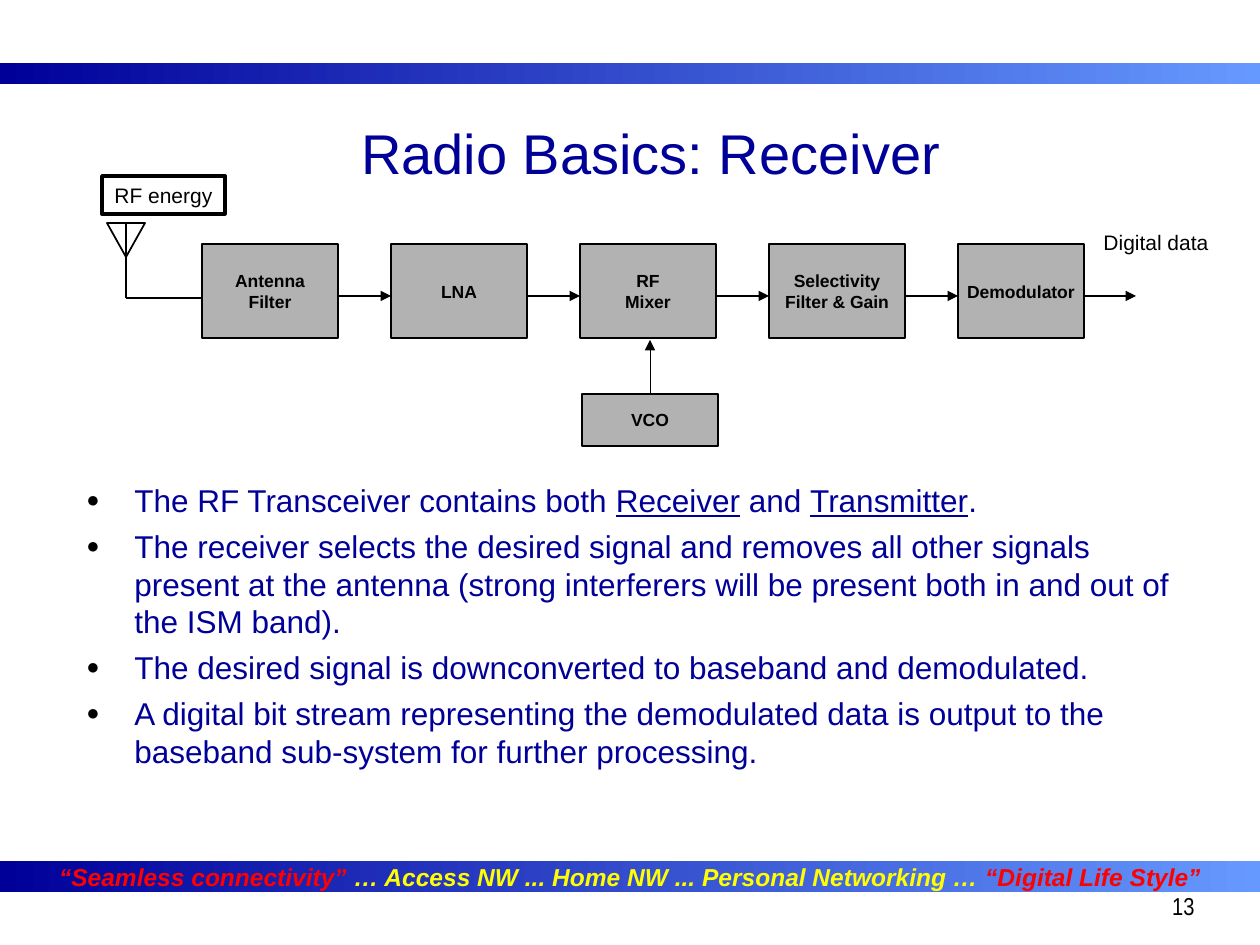
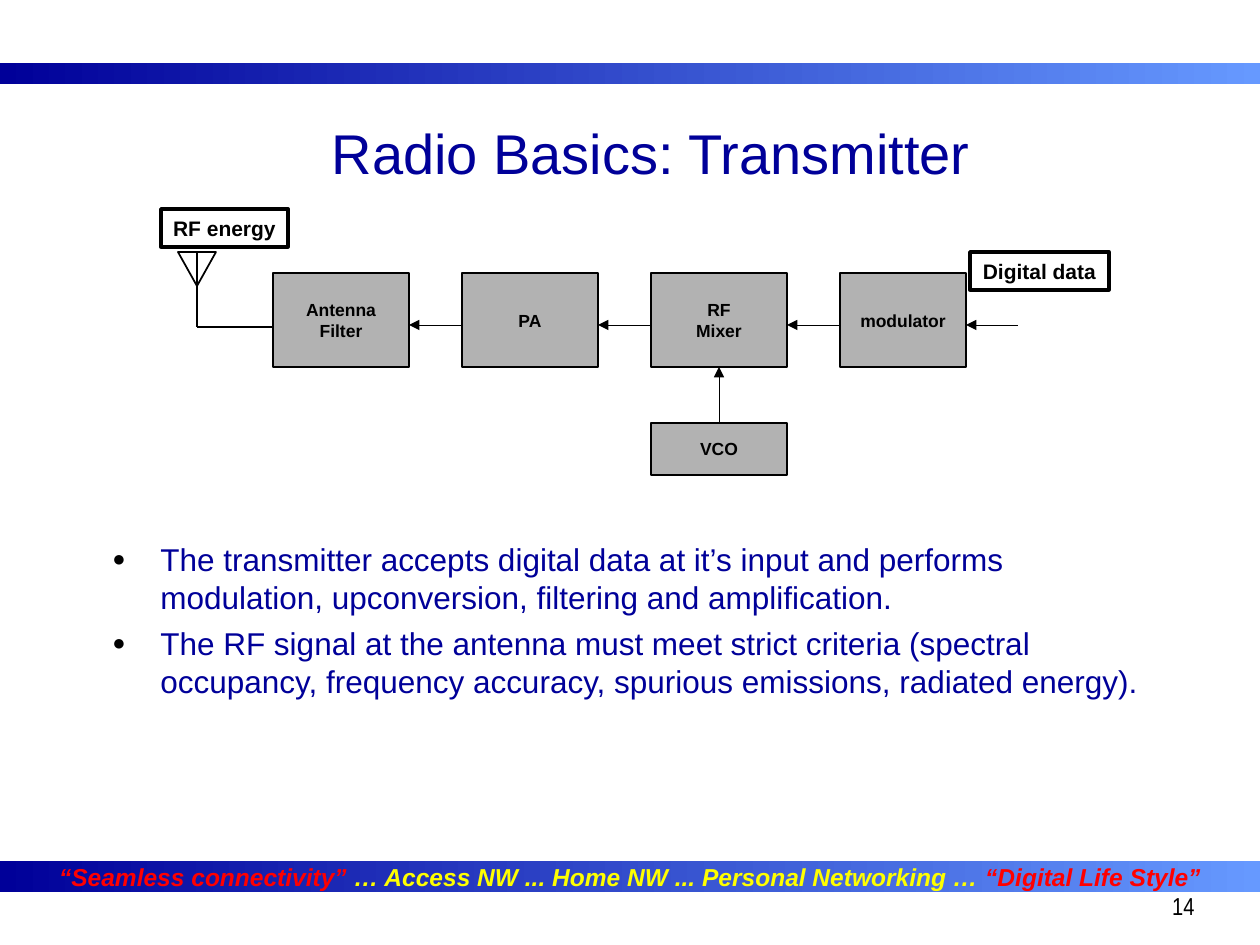
"""Build two slides on the radio receiver and transmitter chains."""
from lxml.etree import SubElement
from pptx import Presentation
from pptx.dml.color import RGBColor
from pptx.enum.shapes import MSO_CONNECTOR, MSO_SHAPE
from pptx.enum.text import MSO_ANCHOR, PP_ALIGN
from pptx.oxml.ns import qn
from pptx.util import Pt

PX = 914400 / 126
NAVY, SKY, GRAY = "000099", "6699FF", "B2B2B2"
BLACK, RED, GOLD = "000000", "FF0000", "FFFF00"
WIDE, HIGH = 1260, 945
BANDS = [(0, 63, WIDE, 21), (0, 861, WIDE, 31)]
MOTTO = [
    ("“Seamless connectivity”", {"hue": RED}),
    (" … Access NW ... Home NW ... Personal Networking … ", {"hue": GOLD}),
    ("“Digital Life Style”", {"hue": RED}),
]
TITLE_AT = (84, 116, 1134, 73)
PAGE_AT = (945, 882, 262, 63)
BOX_W, LAST_W, BOX_H, PITCH = 136, 126, 94, 189
FLOW_Y, OUT_LEN = 52, 52
VCO_Y, VCO_H = 150, 52
MIXER = 2
LINE = {"under": True}

SLIDES = [
    {
        "title": "Radio Basics: Receiver",
        "page": "13",
        "start": (202, 244),
        "steps": [["Antenna", "Filter"], ["LNA"], ["RF", "Mixer"],
                  ["Selectivity", "Filter & Gain"], ["Demodulator"]],
        "inward": False,
        "flow_pt": 1,
        "vco_dx": 2,
        "labels": [("Digital data", (1091, 223, 130, 38), 0, False),
                   ("RF energy", (102, 176, 123, 38), 2, False)],
        "body_at": (74, 475, 1133, 341),
        "points": [
            [("The RF Transceiver contains both ", {}), ("Receiver", LINE),
             (" and ", {}), ("Transmitter", LINE), (".", {})],
            [("The receiver selects the desired signal and removes all other "
              "signals present at the antenna (strong interferers will be "
              "present both in and out of the ISM band).", {})],
            [("The desired signal is downconverted to baseband and "
              "demodulated.", {})],
            [("A digital bit stream representing the demodulated data is "
              "output to the baseband sub-system for further processing.", {})],
        ],
    },
    {
        "title": "Radio Basics: Transmitter",
        "page": "14",
        "start": (273, 273),
        "steps": [["Antenna", "Filter"], ["PA"], ["RF", "Mixer"], ["modulator"]],
        "inward": True,
        "flow_pt": 0.5,
        "vco_dx": 0,
        "labels": [("Digital data", (970, 252, 139, 38), 2, True),
                   ("RF energy", (161, 209, 127, 38), 2, True)],
        "body_at": (100, 534, 1081, 272),
        "points": [
            [("The transmitter accepts digital data at it’s input and performs "
              "modulation, upconversion, filtering and amplification.", {})],
            [("The RF signal at the antenna must meet strict criteria "
              "(spectral occupancy, frequency accuracy, spurious emissions, "
              "radiated energy).", {})],
        ],
    },
]


def emu(*vals):
    """Turn px into EMU."""
    return [round(v * PX) for v in vals]


def color(code):
    """Turn a hex string into a colour."""
    return RGBColor.from_string(code)


def add_run(para, text, size, hue=BLACK, bold=False, slant=False,
            under=False, face="Arial"):
    """Add one styled run."""
    run = para.add_run()
    run.text = text
    font = run.font
    font.name, font.size, font.bold = face, Pt(size), bold
    font.italic, font.underline = slant, under
    font.color.rgb = color(hue)


def add_lines(shape, rows, align=PP_ALIGN.CENTER, wrap=False,
              anchor=MSO_ANCHOR.MIDDLE, **style):
    """Fill a shape with paragraphs, each a list of (text, style) runs."""
    frame = shape.text_frame
    frame.word_wrap, frame.vertical_anchor = wrap, anchor
    for i, row in enumerate(rows):
        para = frame.add_paragraph() if i else frame.paragraphs[0]
        para.alignment = align
        for text, extra in row:
            add_run(para, text, **{**style, **extra})
    return frame.paragraphs


def add_box(slide, at, fill=None, line=0, kind=MSO_SHAPE.RECTANGLE):
    """Add a flat shape with an optional fill and outline."""
    box = slide.shapes.add_shape(kind, *emu(*at))
    box.shadow.inherit = False
    if fill:
        box.fill.solid()
        box.fill.fore_color.rgb = color(fill)
    else:
        box.fill.background()
    if line:
        box.line.color.rgb = color(BLACK)
        box.line.width = Pt(line)
    else:
        box.line.fill.background()
    return box


def add_line(slide, x1, y1, x2, y2, width=1, tip=None):
    """Add a straight line, with a tip at headEnd or tailEnd."""
    wire = slide.shapes.add_connector(MSO_CONNECTOR.STRAIGHT,
                                      *emu(x1, y1, x2, y2))
    wire.line.color.rgb = color(BLACK)
    wire.line.width = Pt(width)
    if tip:
        SubElement(wire.line._get_or_add_ln(), qn("a:" + tip), type="triangle")
    SubElement(wire._element.spPr, qn("a:effectLst"))
    return wire


def add_frame(slide, title, page):
    """Add the bands, motto, title and page number."""
    for at in BANDS:
        band = add_box(slide, at)
        band.fill.gradient()
        band.fill.gradient_angle = 180
        for stop, hue in zip(band.fill.gradient_stops, (SKY, NAVY)):
            stop.color.rgb = color(hue)
    add_lines(band, [MOTTO], size=14, bold=True, slant=True)
    head = slide.shapes.add_textbox(*emu(*TITLE_AT))
    add_lines(head, [[(title, {})]], wrap=True, size=32, hue=NAVY)
    foot = slide.shapes.add_textbox(*emu(*PAGE_AT))
    paras = add_lines(foot, [[(page, {})]], PP_ALIGN.RIGHT, True,
                      MSO_ANCHOR.TOP, size=14, face="Arial Narrow")
    paras[0].line_spacing = 1.1


def add_points(slide, at, points):
    """Add the bulleted text."""
    body = slide.shapes.add_textbox(*emu(*at))
    paras = add_lines(body, points, PP_ALIGN.LEFT, True, MSO_ANCHOR.TOP,
                      size=18, hue=NAVY)
    dent = emu(48)[0]
    for i, para in enumerate(paras):
        if i:
            para.space_before = Pt(4.5)
        props = para._p.get_or_add_pPr()
        props.set("marL", str(dent))
        props.set("indent", str(-dent))
        tint = SubElement(props, qn("a:buClr"))
        SubElement(tint, qn("a:srgbClr"), val=BLACK)
        SubElement(props, qn("a:buSzPct"), val="70000")
        SubElement(props, qn("a:buFont"), typeface="Arial")
        SubElement(props, qn("a:buChar"), char="●")


def add_mast(slide, x, y):
    """Add the antenna left of the first block."""
    mast, top, foot = x - 76, y - 21, y + 54
    add_line(slide, x, foot, mast, foot)
    add_line(slide, mast, foot, mast, top)
    cone = add_box(slide, (mast - 19, top, 38, 34), line=1,
                   kind=MSO_SHAPE.ISOSCELES_TRIANGLE)
    cone.rotation = 180


def add_block(slide, at, words):
    """Add one gray block of the chain."""
    block = add_box(slide, at, GRAY, 1)
    add_lines(block, [[(word, {})] for word in words], size=10, bold=True)
    return block


def add_chain(slide, data):
    """Add the blocks, the arrows between them and the oscillator."""
    x, y = data["start"]
    steps = data["steps"]
    tip = "headEnd" if data["inward"] else "tailEnd"
    add_mast(slide, x, y)
    blocks = []
    for i, words in enumerate(steps):
        last = i == len(steps) - 1
        left = x + i * PITCH
        width = LAST_W if last else BOX_W
        blocks.append(add_block(slide, (left, y, width, BOX_H), words))
        end = left + width + OUT_LEN if last else left + PITCH
        add_line(slide, left + width, y + FLOW_Y, end, y + FLOW_Y,
                 data["flow_pt"], tip)
    left = x + MIXER * PITCH + data["vco_dx"]
    vco = add_block(slide, (left, y + VCO_Y, BOX_W, VCO_H), ["VCO"])
    mid = left + BOX_W // 2
    feed = add_line(slide, mid, y + BOX_H + 2, mid, y + VCO_Y, 0.5, "headEnd")
    feed.end_connect(vco, 0)
    if not data["vco_dx"]:
        feed.begin_connect(blocks[MIXER], 2)


def main():
    """Build and save the deck."""
    deck = Presentation()
    deck.slide_width, deck.slide_height = emu(WIDE, HIGH)
    for data in SLIDES:
        slide = deck.slides.add_slide(deck.slide_layouts[6])
        add_frame(slide, data["title"], data["page"])
        add_points(slide, data["body_at"], data["points"])
        add_chain(slide, data)
        for text, at, line, bold in data["labels"]:
            label = add_box(slide, at, line=line)
            add_lines(label, [[(text, {})]], size=12, bold=bold)
    deck.save("out.pptx")


if __name__ == "__main__":
    main()
